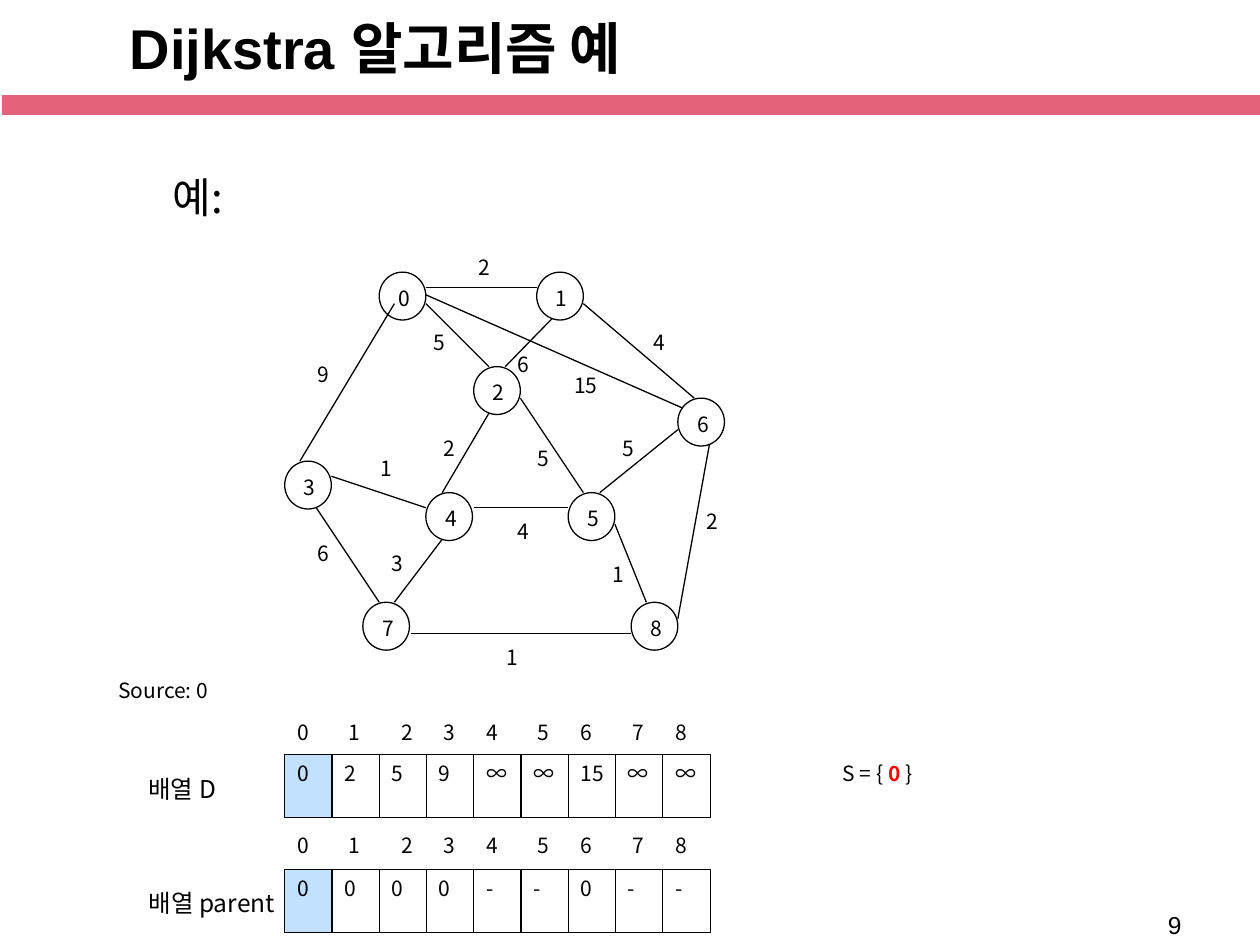
from dataclasses import dataclass
from typing import NamedTuple

from lxml.etree import SubElement
from pptx import Presentation
from pptx.dml.color import RGBColor
from pptx.enum.shapes import MSO_CONNECTOR, MSO_SHAPE
from pptx.enum.text import MSO_ANCHOR, MSO_AUTO_SIZE, PP_ALIGN
from pptx.oxml.ns import qn
from pptx.util import Inches, Pt


@dataclass(frozen=True)
class Theme:
    ink: str = "000000"
    paper: str = "FFFFFF"
    band: str = "E4627B"
    settled: str = "C2E0FF"
    accent: str = "FF0000"
    latin: str = "Arial"
    korean: str = "Noto Sans CJK KR"
    title: int = 32
    heading: int = 24
    caption: int = 14
    small: int = 12
    line: float = 0.75


class Node(NamedTuple):
    x: float
    y: float


class Edge(NamedTuple):
    x1: float
    y1: float
    x2: float
    y2: float
    weight: str
    label_x: float
    label_y: float


class Array(NamedTuple):
    name: str
    name_y: float
    index_y: float
    cell_y: float
    values: list[str]


T = Theme()
NODE_W, NODE_H = 0.37, 0.38
CELL_X, CELL_STEP, CELL_W, CELL_H = 2.26, 0.375, 0.38, 0.5
INDEX_X = [2.26, 2.67, 3.09, 3.42, 3.76, 4.17, 4.51, 4.92, 5.26]

NODES = [
    Node(3.01, 2.16), Node(4.26, 2.16), Node(3.76, 2.91),
    Node(2.26, 3.66), Node(3.38, 3.91), Node(4.51, 3.91),
    Node(5.38, 3.16), Node(2.88, 4.78), Node(5.01, 4.78),
]
EDGES = [
    Edge(3.38, 2.28, 4.26, 2.28, "2", 3.7, 1.97),
    Edge(3.13, 2.41, 2.38, 3.66, "9", 2.42, 2.82),
    Edge(2.63, 3.78, 3.38, 4.03, "1", 2.92, 3.57),
    Edge(3.88, 3.28, 3.51, 3.91, "2", 3.42, 3.41),
    Edge(4.13, 3.16, 4.63, 3.91, "5", 4.17, 3.49),
    Edge(3.38, 2.41, 3.88, 2.91, "5", 3.34, 2.57),
    Edge(4.38, 2.53, 4.01, 2.91, "6", 4.01, 2.74),
    Edge(5.38, 3.41, 4.76, 3.91, "5", 4.84, 3.41),
    Edge(4.63, 2.41, 5.51, 3.16, "4", 5.09, 2.57),
    Edge(2.51, 4.03, 3.01, 4.78, "6", 2.42, 4.24),
    Edge(3.51, 4.28, 3.13, 4.78, "3", 3.01, 4.32),
    Edge(3.26, 5.03, 5.01, 5.03, "1", 3.92, 5.07),
    Edge(3.76, 4.03, 4.51, 4.03, "4", 4.01, 4.07),
    Edge(4.88, 4.16, 5.13, 4.78, "1", 4.76, 4.41),
    Edge(5.63, 3.53, 5.38, 4.91, "2", 5.51, 3.99),
    Edge(3.38, 2.34, 5.42, 3.24, "15", 4.46, 2.91),
]
ARRAYS = [
    Array("배열 D", 6.09, 5.66, 5.99, ["0", "2", "5", "9", "∞", "∞", "15", "∞", "∞"]),
    Array("배열 parent", 7, 6.56, 6.9, ["0", "0", "0", "0", "-", "-", "0", "-", "-"]),
]


def rgb(color: str) -> RGBColor:
    return RGBColor.from_string(color)


def add_run(p, text: str, size: int, font: str = T.korean,
            color: str = T.ink, bold: bool = False) -> None:
    r = p.add_run()
    r.text = text
    for name, value in {"name": font, "size": Pt(size), "bold": bold}.items():
        setattr(r.font, name, value)
    r.font.color.rgb = rgb(color)
    SubElement(r.font._element, qn("a:ea")).set("typeface", T.korean)


def format_frame(tf, **values) -> None:
    for name, value in values.items():
        setattr(tf, name, value)


def add_label(s, text: str, x: float, y: float, w: float = 0.3, h: float = 0.3,
              size: int = T.small, font: str = T.korean, wrap: bool = False):
    tf = s.shapes.add_textbox(Inches(x), Inches(y), Inches(w), Inches(h)).text_frame
    format_frame(tf, word_wrap=wrap, auto_size=MSO_AUTO_SIZE.SHAPE_TO_FIT_TEXT)
    p = tf.paragraphs[0]
    add_run(p, text, size, font)
    return p


def add_box(s, kind: MSO_SHAPE, x: float, y: float, w: float, h: float,
            fill: str = T.paper, line: str = T.ink, width: float = T.line, text: str = "") -> None:
    sp = s.shapes.add_shape(kind, Inches(x), Inches(y), Inches(w), Inches(h))
    sp.shadow.inherit = False
    sp.fill.solid()
    sp.fill.fore_color.rgb = rgb(fill)
    sp.line.color.rgb = rgb(line)
    sp.line.width = Pt(width)
    if text:
        format_frame(sp.text_frame, word_wrap=True, vertical_anchor=MSO_ANCHOR.TOP)
        p = sp.text_frame.paragraphs[0]
        p.alignment = PP_ALIGN.JUSTIFY
        add_run(p, text, T.small)


def add_edge(s, e: Edge) -> None:
    ends = [Inches(v) for v in (e.x1, e.y1, e.x2, e.y2)]
    line = s.shapes.add_connector(MSO_CONNECTOR.STRAIGHT, *ends)
    line.line.color.rgb = rgb(T.ink)
    line.line.width = Pt(T.line)
    SubElement(line._element.spPr, qn("a:effectLst"))
    add_label(s, e.weight, e.label_x, e.label_y, w=0.3 if len(e.weight) == 1 else 0.46)


def add_array(s, a: Array) -> None:
    add_label(s, a.name, 1.08, a.name_y, 0.8 if a.name.endswith("D") else 1.31, 0.34, T.caption)
    for i, (value, index_x) in enumerate(zip(a.values, INDEX_X)):
        add_box(s, MSO_SHAPE.RECTANGLE, CELL_X + i * CELL_STEP, a.cell_y,
                0.42 if i == 6 else CELL_W, CELL_H,
                fill=T.paper if i else T.settled, text=value)
        add_label(s, str(i), index_x, a.index_y)


def add_title(s, text: str) -> None:
    sp = s.shapes.title
    box = {"left": 0.93, "top": 0.03, "width": 8.52, "height": 0.68}
    for name, value in box.items():
        setattr(sp, name, Inches(value))
    format_frame(sp.text_frame, word_wrap=True, auto_size=MSO_AUTO_SIZE.NONE,
                 vertical_anchor=MSO_ANCHOR.MIDDLE)
    p = sp.text_frame.paragraphs[0]
    p.alignment = PP_ALIGN.LEFT
    add_run(p, text, T.title, T.latin, bold=True)


def main() -> None:
    prs = Presentation()
    prs.slide_width, prs.slide_height = Inches(10), Inches(7.5)
    s = prs.slides.add_slide(prs.slide_layouts[5])

    add_box(s, MSO_SHAPE.RECTANGLE, 0.01, 0.75, 10, 0.17, T.band, T.paper, 1)
    add_title(s, "Dijkstra 알고리즘 예")
    add_label(s, "9", 9.17, 7.17, 0.57, 0.33, T.caption, T.latin, wrap=True)
    add_label(s, "예:", 1.27, 1.31, 6.25, 0.42, T.heading, wrap=True)

    for i, node in enumerate(NODES):
        add_box(s, MSO_SHAPE.OVAL, node.x, node.y, NODE_W, NODE_H, text=str(i))
    for edge in EDGES:
        add_edge(s, edge)

    add_label(s, "Source: 0", 0.84, 5.33, 0.95)
    for array in ARRAYS:
        add_array(s, array)
    p = add_label(s, "S = { ", 6.59, 5.99, 0.9)
    add_run(p, "0", T.small, color=T.accent, bold=True)
    add_run(p, " }", T.small)
    prs.save("out.pptx")


if __name__ == "__main__":
    main()
